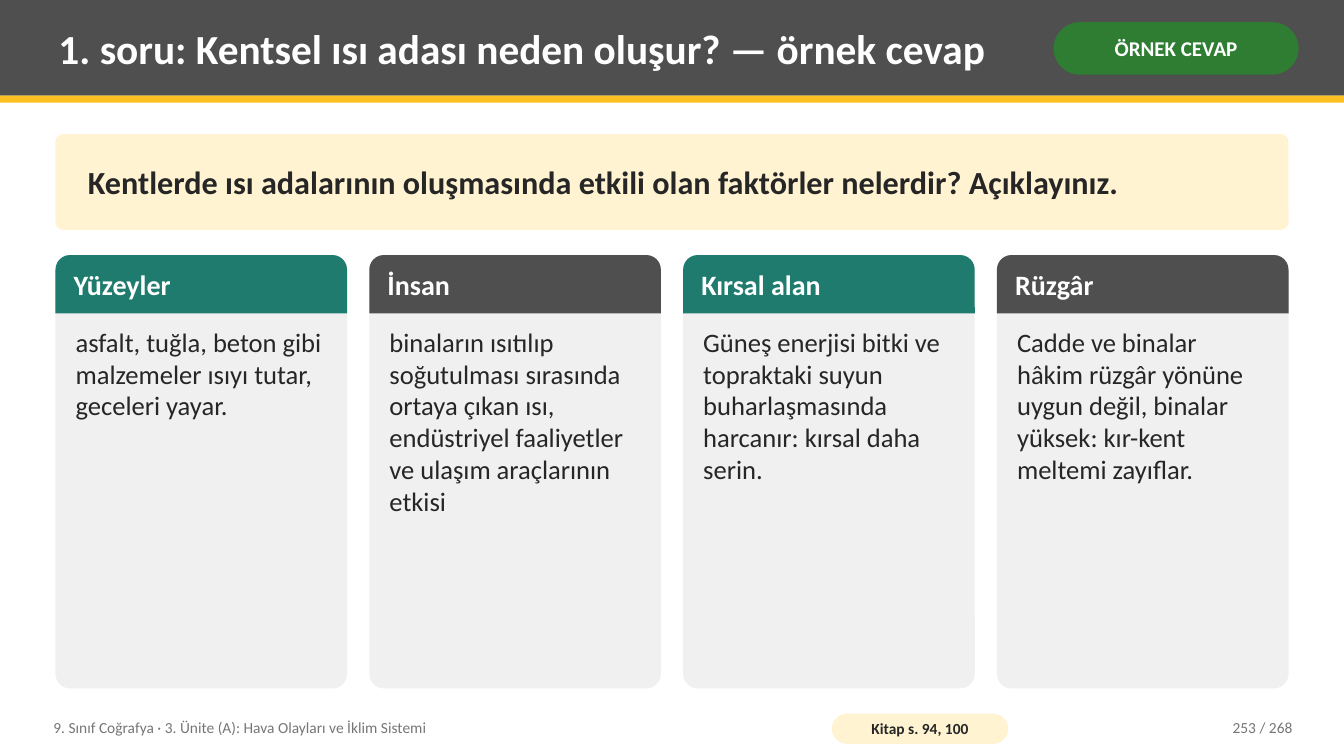
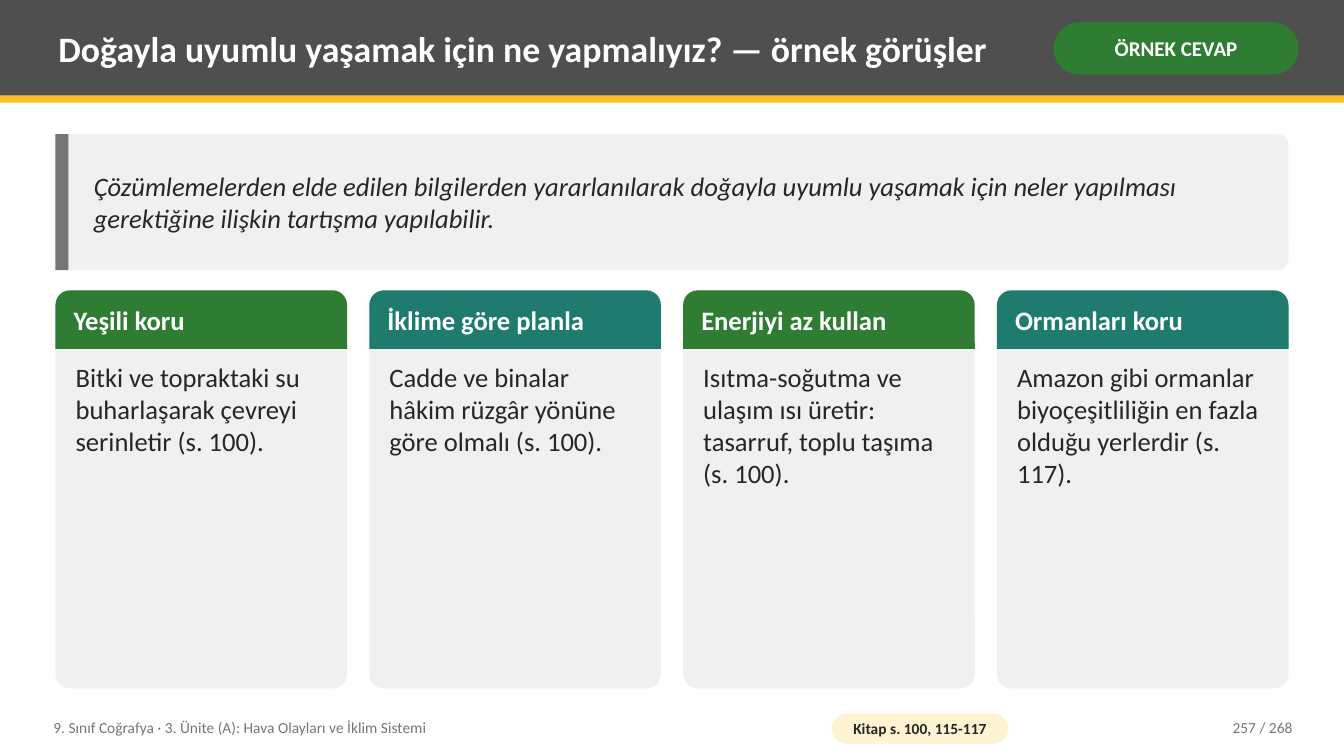
from dataclasses import dataclass

from pptx import Presentation
from pptx.dml.color import RGBColor
from pptx.enum.shapes import MSO_SHAPE
from pptx.enum.text import MSO_ANCHOR, PP_ALIGN
from pptx.util import Inches, Pt

RECTANGLE = MSO_SHAPE.RECTANGLE
ROUNDED = MSO_SHAPE.ROUNDED_RECTANGLE
TOP_ROUNDED = MSO_SHAPE.ROUND_2_SAME_RECTANGLE
TOP, MIDDLE = MSO_ANCHOR.TOP, MSO_ANCHOR.MIDDLE
LEFT, CENTER, RIGHT = PP_ALIGN.LEFT, PP_ALIGN.CENTER, PP_ALIGN.RIGHT


@dataclass(frozen=True)
class Theme:
    font: str = "Calibri"
    white: str = "FFFFFF"
    ink: str = "262626"
    muted: str = "767676"
    dark: str = "4F4F4F"
    gold: str = "FCC021"
    cream: str = "FFF3D1"
    panel: str = "F0F0F0"
    green: str = "2E7D32"
    teal: str = "1E7B6E"
    title_size: float = 29.5
    long_title_size: float = 25.5
    question_size: float = 23
    heading_size: float = 20
    body_size: float = 19
    badge_size: float = 15
    footer_size: float = 11


@dataclass(frozen=True)
class Grid:
    width: float = 13.33
    height: float = 7.5
    margin: float = 0.55
    columns: int = 4
    gap: float = 0.22
    banner_top: float = 1.33
    cards_bottom: float = 6.83
    heading_height: float = 0.58

    @property
    def content_width(self):
        return self.width - 2 * self.margin

    @property
    def column_width(self):
        return (self.content_width - (self.columns - 1) * self.gap) / self.columns

    def column_left(self, column):
        return self.margin + column * (self.column_width + self.gap)


THEME = Theme()
GRID = Grid()
TEXT_INSETS = (0.08, 0.04)
BADGE_LABEL = "ÖRNEK CEVAP"
FOOTER_TEXT = "9. Sınıf Coğrafya · 3. Ünite (A): Hava Olayları ve İklim Sistemi"
PAGE_COUNT = 268


def write_text(shape, text, size, color, bold=False, italic=False,
               align=LEFT, anchor=MIDDLE, insets=TEXT_INSETS):
    frame = shape.text_frame
    frame.word_wrap = True
    frame.vertical_anchor = anchor
    frame.margin_left = frame.margin_right = Inches(insets[0])
    frame.margin_top = frame.margin_bottom = Inches(insets[1])
    paragraph = frame.paragraphs[0]
    paragraph.text = text
    paragraph.alignment = align
    font = paragraph.font
    font.name, font.size = THEME.font, Pt(size)
    font.bold, font.italic = bold, italic
    font.color.rgb = RGBColor.from_string(color)


def add_block(slide, kind, area, fill, rounding=None):
    shape = slide.shapes.add_shape(kind, *map(Inches, area))
    shape.shadow.inherit = False
    shape.fill.solid()
    shape.fill.fore_color.rgb = RGBColor.from_string(fill)
    shape.line.fill.background()
    if rounding is not None:
        shape.adjustments[0] = rounding
    return shape


def add_label(slide, area, text, size, color, **style):
    box = slide.shapes.add_textbox(*map(Inches, area))
    write_text(box, text, size, color, **style)


def add_pill(slide, area, fill, text, size, color, insets):
    pill = add_block(slide, ROUNDED, area, fill, 0.5)
    write_text(pill, text, size, color, bold=True, align=CENTER, insets=insets)


def add_header(slide, title, size):
    add_block(slide, RECTANGLE, (0, 0, GRID.width, 0.95), THEME.dark)
    add_block(slide, RECTANGLE, (0, 0.95, GRID.width, 0.07), THEME.gold)
    add_label(slide, (0.5, 0.07, 9.75, 0.82), title, size, THEME.white, bold=True)
    add_pill(slide, (10.45, 0.22, 2.43, 0.52), THEME.green, BADGE_LABEL,
             THEME.badge_size, THEME.white, (0.05, 0.02))


def add_footer(slide, source, page):
    add_label(slide, (0.45, 7.04, 7.6, 0.36), FOOTER_TEXT, THEME.footer_size, THEME.muted)
    add_pill(slide, (8.25, 7.08, 1.75, 0.3), THEME.cream, source,
             THEME.footer_size, THEME.ink, (0.04, 0))
    add_label(slide, (11.3, 7.04, 1.6, 0.36), f"{page} / {PAGE_COUNT}",
              THEME.footer_size, THEME.muted, align=RIGHT)


def add_banner(slide, height, fill):
    area = (GRID.margin, GRID.banner_top, GRID.content_width, height)
    return add_block(slide, ROUNDED, area, fill, 0.08)


def add_question(slide, text):
    banner = add_banner(slide, 0.95, THEME.cream)
    write_text(banner, text, THEME.question_size, THEME.ink, bold=True, insets=(0.3, 0.08))


def add_quote(slide, text):
    height = 1.35
    add_banner(slide, height, THEME.panel)
    add_block(slide, RECTANGLE, (GRID.margin, GRID.banner_top, 0.13, height), THEME.muted)
    add_label(slide, (GRID.margin + 0.3, GRID.banner_top, GRID.content_width - 0.45, height),
              text, THEME.body_size, THEME.ink, italic=True)


def add_card(slide, column, top, color, heading, heading_size, body):
    left, width = GRID.column_left(column), GRID.column_width
    height, heading_height = GRID.cards_bottom - top, GRID.heading_height
    add_block(slide, ROUNDED, (left, top, width, height), THEME.panel, 0.05)
    add_block(slide, TOP_ROUNDED, (left, top, width, heading_height), color, 0.25)
    add_label(slide, (left + 0.1, top, width - 0.2, heading_height),
              heading, heading_size, THEME.white, bold=True)
    add_label(slide, (left + 0.12, top + heading_height + 0.08,
                      width - 0.24, height - heading_height - 0.16),
              body, THEME.body_size, THEME.ink, anchor=TOP)


def add_cards(slide, top, colors, heading_size, cards):
    for column, (heading, body) in enumerate(cards):
        color = colors[column % len(colors)]
        add_card(slide, column, top, color, heading, heading_size, body)


def add_slide(presentation):
    return presentation.slides.add_slide(presentation.slide_layouts[6])


def build_heat_island(presentation):
    slide = add_slide(presentation)
    add_header(slide, "1. soru: Kentsel ısı adası neden oluşur? — örnek cevap", THEME.title_size)
    add_question(slide, "Kentlerde ısı adalarının oluşmasında etkili olan faktörler "
                        "nelerdir? Açıklayınız.")
    add_cards(slide, 2.53, (THEME.teal, THEME.dark), THEME.heading_size, [
        ("Yüzeyler", "asfalt, tuğla, beton gibi malzemeler ısıyı tutar, geceleri yayar."),
        ("İnsan", "binaların ısıtılıp soğutulması sırasında ortaya çıkan ısı, "
                  "endüstriyel faaliyetler ve ulaşım araçlarının etkisi"),
        ("Kırsal alan", "Güneş enerjisi bitki ve topraktaki suyun buharlaşmasında "
                        "harcanır: kırsal daha serin."),
        ("Rüzgâr", "Cadde ve binalar hâkim rüzgâr yönüne uygun değil, binalar "
                   "yüksek: kır-kent meltemi zayıflar."),
    ])
    add_footer(slide, "Kitap s. 94, 100", 253)


def build_living_with_nature(presentation):
    slide = add_slide(presentation)
    add_header(slide, "Doğayla uyumlu yaşamak için ne yapmalıyız? — örnek görüşler",
               THEME.long_title_size)
    add_quote(slide, "Çözümlemelerden elde edilen bilgilerden yararlanılarak doğayla uyumlu "
                     "yaşamak için neler yapılması gerektiğine ilişkin tartışma yapılabilir.")
    add_cards(slide, 2.88, (THEME.green, THEME.teal), THEME.body_size, [
        ("Yeşili koru", "Bitki ve topraktaki su buharlaşarak çevreyi serinletir (s. 100)."),
        ("İklime göre planla", "Cadde ve binalar hâkim rüzgâr yönüne göre olmalı (s. 100)."),
        ("Enerjiyi az kullan", "Isıtma-soğutma ve ulaşım ısı üretir: tasarruf, "
                               "toplu taşıma (s. 100)."),
        ("Ormanları koru", "Amazon gibi ormanlar biyoçeşitliliğin en fazla olduğu "
                           "yerlerdir (s. 117)."),
    ])
    add_footer(slide, "Kitap s. 100, 115-117", 257)


def main():
    presentation = Presentation()
    presentation.slide_width = Inches(GRID.width)
    presentation.slide_height = Inches(GRID.height)
    build_heat_island(presentation)
    build_living_with_nature(presentation)
    presentation.save("out.pptx")


if __name__ == "__main__":
    main()
